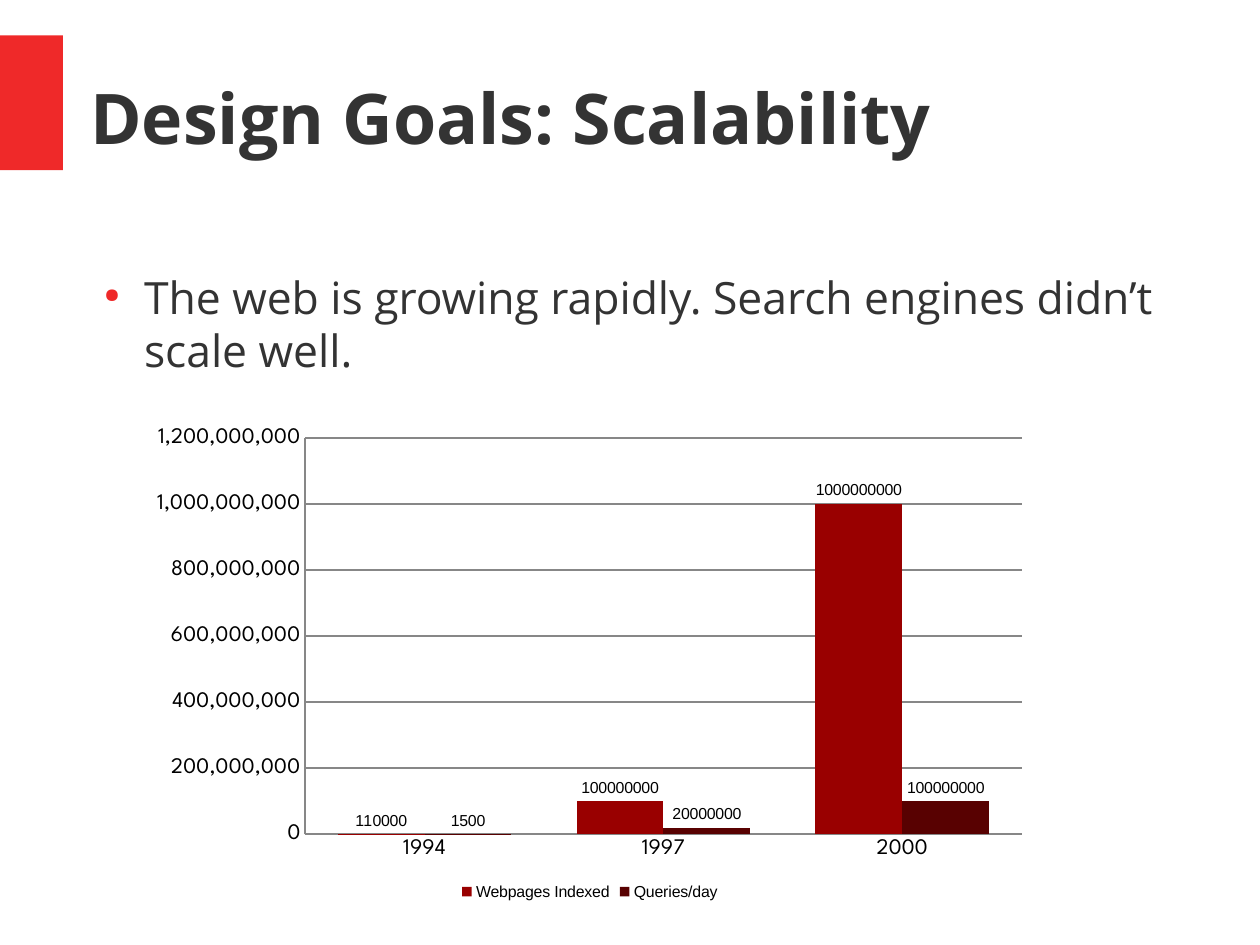
from lxml import etree
from pptx import Presentation
from pptx.chart.data import CategoryChartData as Data
from pptx.dml.color import RGBColor as Rgb
from pptx.enum.chart import XL_CHART_TYPE as Kind, XL_LABEL_POSITION as Spot
from pptx.enum.chart import XL_LEGEND_POSITION as Side, XL_TICK_MARK as Tick
from pptx.enum.shapes import MSO_SHAPE as Form
from pptx.enum.text import MSO_ANCHOR as Anchor
from pptx.oxml import parse_xml
from pptx.oxml.ns import nsdecls, qn
from pptx.util import Cm, Inches, Pt

# Content
TITLE = "Design Goals: Scalability"
POINT = "The web is growing rapidly. Search engines didn’t scale well."
YEARS = ["1994", "1997", "2000"]
SERIES = [
    ("Webpages Indexed", [110000, 100000000, 1000000000], "bar"),
    ("Queries/day", [1500, 20000000, 100000000], "dark"),
]
COLORS = {"accent": "EF2929", "text": "333333", "bar": "990000",
          "dark": "580101", "axis": "878787", "black": "000000",
          "white": "FFFFFF"}
# Chart frame and its plot area: left, top, width, height
CHART = (1.22, 3.66, 7.88, 4.26)
PLOT = (2.67, 3.83, 6.27, 3.47)


def rgb(name):
    return Rgb.from_string(COLORS[name])


def style(font, face, size, color):
    font.name, font.size = face, Pt(size)
    font.color.rgb = rgb(color)


def stroke(line):
    line.color.rgb = rgb("axis")
    line.width = Pt(1)


def add_text(slide, box, text, size):
    frame = slide.shapes.add_textbox(*map(Inches, box)).text_frame
    frame.word_wrap = True
    frame.margin_left = frame.margin_right = 0
    frame.margin_top = frame.margin_bottom = 0
    para = frame.paragraphs[0]
    para.text = text
    style(para.font, "Open Sans", size, "text")
    return frame, para


def add_bullet(para):
    props = para._p.get_or_add_pPr()
    props.set("marL", str(Inches(0.47)))
    props.set("indent", str(Inches(-0.35)))
    color = etree.SubElement(props, qn("a:buClr"))
    etree.SubElement(color, qn("a:srgbClr"), val=COLORS["accent"])
    etree.SubElement(props, qn("a:buSzPct"), val="45000")
    etree.SubElement(props, qn("a:buChar"), char="●")
    # Keep the run defaults after the bullet settings
    props.append(props.find(qn("a:defRPr")))


def fix_plot(chart):
    area = chart._chartSpace.chart.plotArea
    for old in area.findall(qn("c:layout")):
        area.remove(old)
    left, top, width, height = CHART
    x, y, w, h = PLOT
    shares = {"x": (x - left) / width, "y": (y - top) / height,
              "w": w / width, "h": h / height}
    parts = "".join(f'<c:{key} val="{val:.4f}"/>'
                    for key, val in shares.items())
    area.insert(0, parse_xml(
        f'<c:layout {nsdecls("c")}><c:manualLayout>'
        '<c:layoutTarget val="inner"/><c:xMode val="edge"/>'
        f'<c:yMode val="edge"/>{parts}</c:manualLayout></c:layout>'))
    area.append(parse_xml(
        f'<c:spPr {nsdecls("c", "a")}><a:solidFill>'
        f'<a:srgbClr val="{COLORS["white"]}"/></a:solidFill></c:spPr>'))


def add_graph(slide):
    data = Data()
    data.categories = YEARS
    for name, vals, _ in SERIES:
        data.add_series(name, vals)
    box = map(Inches, CHART)
    chart = slide.shapes.add_chart(Kind.COLUMN_CLUSTERED, *box, data).chart
    style(chart.font, "Arial", 10, "black")
    chart.has_title = False
    chart.has_legend = True
    chart.legend.position = Side.BOTTOM
    chart.legend.include_in_layout = False

    # Axes
    for axis in (chart.category_axis, chart.value_axis):
        axis.major_tick_mark = axis.minor_tick_mark = Tick.NONE
        style(axis.tick_labels.font, "League Spartan", 14, "black")
        stroke(axis.format.line)
    scale = chart.value_axis
    scale.minimum_scale, scale.maximum_scale = 0, 1200000000
    scale.major_unit = 200000000
    scale.tick_labels.number_format = "#,##0"
    scale.tick_labels.number_format_is_linked = False
    stroke(scale.major_gridlines.format.line)

    # Columns and their values
    plot = chart.plots[0]
    plot.gap_width, plot.overlap = 75, 0
    plot.vary_by_categories = False
    for item, (_, _, color) in zip(plot.series, SERIES):
        item.format.fill.solid()
        item.format.fill.fore_color.rgb = rgb(color)
        item.invert_if_negative = False
        labels = item.data_labels
        labels.show_value = True
        labels.position = Spot.OUTSIDE_END
        style(labels.font, "Arial", 10, "black")
    fix_plot(chart)


def main():
    deck = Presentation()
    # The page is an exact metric size
    deck.slide_width, deck.slide_height = Cm(28), Cm(21)
    slide = deck.slides.add_slide(deck.slide_layouts[6])

    # Accent block
    block = slide.shapes.add_shape(
        Form.RECTANGLE, *map(Inches, (0, 0.31, 0.55, 1.18)))
    block.shadow.inherit = False
    block.fill.solid()
    block.fill.fore_color.rgb = rgb("accent")
    block.line.fill.background()

    # Title
    frame, para = add_text(slide, (0.79, 0.33, 9.68, 1.38), TITLE, 44)
    frame.vertical_anchor = Anchor.MIDDLE
    para.font.bold = True

    # Bullet point
    _, para = add_text(slide, (0.79, 2.36, 9.45, 4.8), POINT, 28)
    para.space_after = Pt(14.1)
    add_bullet(para)

    add_graph(slide)
    deck.save("out.pptx")


if __name__ == "__main__":
    main()
